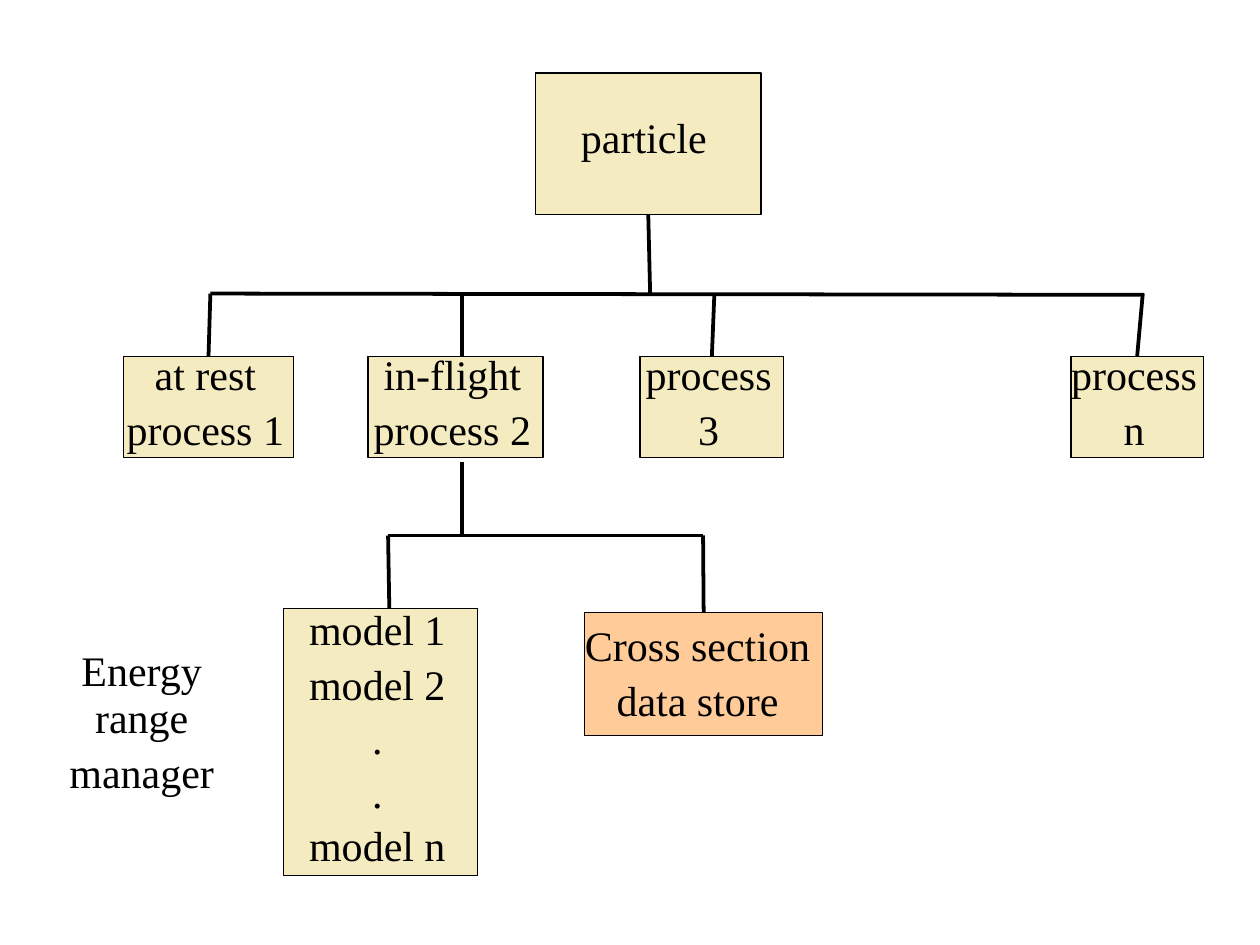
from dataclasses import dataclass

import pptx
import pptx.dml.color
import pptx.enum.shapes
import pptx.enum.text
import pptx.oxml.ns
import pptx.util
from lxml import etree
from pptx.util import Inches

TOP, BOTTOM = 0, 2


@dataclass(frozen=True)
class Theme:
    font: str = "Times New Roman"
    text_size: float = 24
    ink: str = "000000"
    node: str = "F5EBC1"
    store: str = "FFCC99"
    outline: float = 0.75
    branch: float = 2.15
    first_line: float = 0.93
    next_lines: float = 1.07


@dataclass(frozen=True)
class Box:
    left: float
    top: float
    width: float
    height: float

    def inner(self, left, top, width, height):
        return Box(self.left + left, self.top + top, width, height)

    def point(self, across, down):
        return self.left + across, self.top + down


THEME = Theme()


def color(value):
    return pptx.dml.color.RGBColor.from_string(value)


def write_label(shape, text, right=0.05, bottom=0.05):
    frame = shape.text_frame
    frame.text = text
    frame.word_wrap = False
    frame.vertical_anchor = pptx.enum.text.MSO_ANCHOR.MIDDLE
    frame.margin_left = frame.margin_top = 0
    frame.margin_right, frame.margin_bottom = Inches(right), Inches(bottom)
    for index, para in enumerate(frame.paragraphs):
        para.alignment = pptx.enum.text.PP_ALIGN.CENTER
        para.line_spacing = THEME.next_lines if index else THEME.first_line
        for span in para.runs:
            span.font.name = THEME.font
            span.font.size = pptx.util.Pt(THEME.text_size)
            span.font.color.rgb = color(THEME.ink)


def add_node(page, box, text, fill=THEME.node, **margins):
    node = page.shapes.add_shape(
        pptx.enum.shapes.MSO_SHAPE.RECTANGLE,
        Inches(box.left), Inches(box.top), Inches(box.width), Inches(box.height))
    node.shadow.inherit = False
    node.fill.solid()
    node.fill.fore_color.rgb = color(fill)
    node.line.color.rgb = color(THEME.ink)
    node.line.width = pptx.util.Pt(THEME.outline)
    write_label(node, text, **margins)
    return node


def add_branch(page, start, end, node=None, side=TOP):
    branch = page.shapes.add_connector(
        pptx.enum.shapes.MSO_CONNECTOR.STRAIGHT,
        *(Inches(length) for length in (*start, *end)))
    branch.line.color.rgb = color(THEME.ink)
    branch.line.width = pptx.util.Pt(THEME.branch)
    properties = branch._element.spPr
    etree.SubElement(properties, pptx.oxml.ns.qn("a:effectLst"))
    if node is not None:
        branch.end_connect(node, side)


def add_particle(page, box):
    particle = add_node(page, box.inner(0, 0, box.width, 1.12), "particle",
                        right=0.07, bottom=0.07)
    add_branch(page, box.point(0.91, box.height), box.point(0.9, 1.12),
               particle, BOTTOM)


def add_processes(page, box):
    processes = [
        ("at rest\nprocess 1", 0, 1.35, 0.69, 0.69, True),
        ("in-flight\nprocess 2", 1.94, 1.39, 2.69, 2.69, False),
        ("process\n3", 4.1, 1.14, 4.69, 4.69, True),
        ("process\nn", 7.52, 1.05, 8.09, 8.06, True),
    ]
    add_branch(page, box.point(0.69, 0), box.point(8.1, 0.01))
    for text, left, width, start, end, joined in processes:
        node = add_node(page, box.inner(left, 0.5, width, box.height - 0.5), text)
        add_branch(page, box.point(start, 0), box.point(end, 0.5),
                   node if joined else None)


def add_models(page, box):
    bus = 0.58
    add_branch(page, box.point(1.42, 0), box.point(1.42, bus))
    add_branch(page, box.point(0.83, bus), box.point(3.33, bus))
    add_node(page, box.inner(0, 1.16, 1.54, box.height - 1.16),
             "model 1\nmodel 2\n.\n.\nmodel n")
    add_branch(page, box.point(0.83, bus), box.point(0.84, 1.16))
    store = add_node(page, box.inner(2.39, 1.19, 1.89, 0.98),
                     "Cross section\ndata store", THEME.store, right=0.1, bottom=0)
    add_branch(page, box.point(3.33, bus), box.point(3.34, 1.19), store)


def add_manager(page, box):
    manager = page.shapes.add_textbox(
        Inches(box.left), Inches(box.top), Inches(box.width), Inches(box.height))
    write_label(manager, "Energy range\nmanager")


def main():
    deck = pptx.Presentation()
    deck.slide_width, deck.slide_height = Inches(10), Inches(7.5)
    page = deck.slides.add_slide(deck.slide_layouts[6])
    add_particle(page, Box(4.25, 0.58, 1.79, 1.75))
    add_processes(page, Box(0.98, 2.33, 8.57, 1.3))
    add_models(page, Box(2.25, 3.67, 4.28, 3.28))
    add_manager(page, Box(0.25, 5.33, 1.8, 0.87))
    deck.save("out.pptx")


if __name__ == "__main__":
    main()
